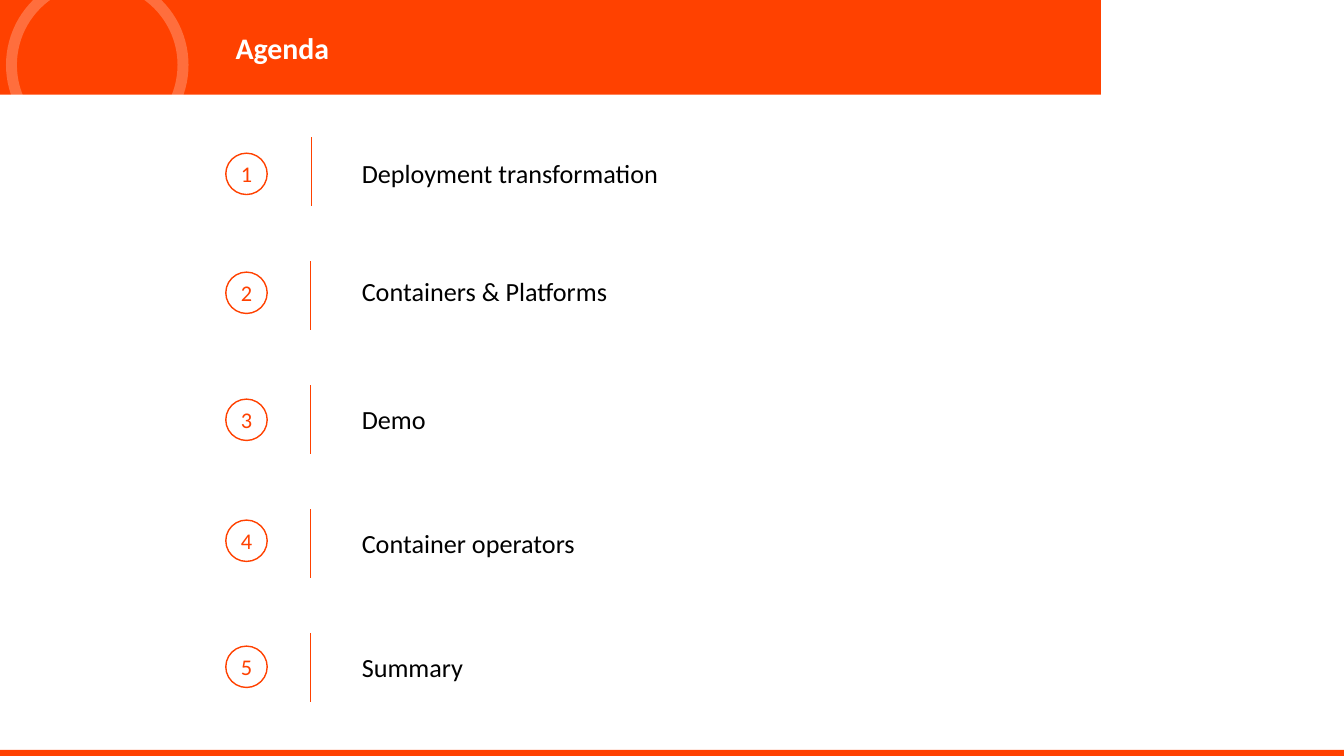
from pptx import Presentation
from pptx.util import Inches, Pt
from pptx.dml.color import RGBColor
from pptx.enum.shapes import MSO_SHAPE as Shape, MSO_CONNECTOR as Link
from pptx.enum.text import PP_ALIGN as Align, MSO_ANCHOR as Anchor
from pptx.oxml.ns import qn
from lxml.etree import SubElement

ORANGE = RGBColor(0xFF, 0x41, 0x00)
WHITE = RGBColor(0xFF, 0xFF, 0xFF)
BLACK = RGBColor(0x00, 0x00, 0x00)

deck = Presentation()
deck.slide_width = Inches(13.33)
deck.slide_height = Inches(7.5)
col = deck.slide_width / 100
row = deck.slide_height / 100
slide = deck.slides.add_slide(deck.slide_layouts[6])
shapes = slide.shapes


def draw(kind, x, y, w, h, fill):
    form = shapes.add_shape(kind, int(x * col), int(y * row), int(w * col), int(h * row))
    form.shadow.inherit = False
    form.fill.solid()
    form.fill.fore_color.rgb = fill
    form.line.fill.background()
    return form


def write(form, text, size, color):
    frame = form.text_frame
    frame.text = text
    frame.word_wrap = True
    frame.vertical_anchor = Anchor.MIDDLE
    para = frame.paragraphs[0]
    font = para.runs[0].font
    font.name = "Calibri"
    font.size = Pt(size)
    font.color.rgb = color
    return para


draw(Shape.RECTANGLE, 0, 99.2, 100, 0.8, ORANGE)
draw(Shape.RECTANGLE, 0, 0, 81.92, 12.53, ORANGE)

ring = draw(Shape.DONUT, 0.45, -3.47, 13.58, 24.13, WHITE)
ring.adjustments[0] = 0.06
tint = ring.fill._xPr.find(qn("a:solidFill"))[0]
SubElement(tint, qn("a:alpha")).set("val", "24000")

title = shapes.add_textbox(int(16.8 * col), int(3.07 * row), int(63.47 * col), int(7.07 * row))
para = write(title, "Agenda", 21.3, WHITE)
para.line_spacing = 0.9
para.runs[0].font.bold = True

topics = [
    ("Deployment transformation", 16.67, 20.27, 23.18),
    ("Containers & Platforms", 32.27, 36, 23.1),
    ("Demo", 49.2, 52.8, 23.1),
    ("Container operators", 65.6, 68.8, 23.1),
    ("Summary", 82, 85.47, 23.1),
]
for i, (topic, top, disc, x) in enumerate(topics):
    label = shapes.add_textbox(int(26.18 * col), int(top * row), int(55.74 * col), int(12.53 * row))
    write(label, topic, 18.7, BLACK).space_before = Pt(10)

    y = 18.13 + 16.4 * i
    rule = shapes.add_connector(
        Link.STRAIGHT, int(x * col), int(y * row), int(x * col), int((y + 9.07) * row))
    rule.line.color.rgb = ORANGE
    rule.line.width = Pt(0.5)
    SubElement(rule._element.spPr, qn("a:effectLst"))

    badge = draw(Shape.OVAL, 16.8, disc, 3.08, 5.47, WHITE)
    badge.line.color.rgb = ORANGE
    badge.line.width = Pt(1)
    frame = badge.text_frame
    frame.margin_left = frame.margin_right = Inches(0.05)
    frame.margin_top = frame.margin_bottom = Inches(0.05)
    write(badge, str(i + 1), 16, ORANGE).alignment = Align.CENTER

deck.save("out.pptx")
